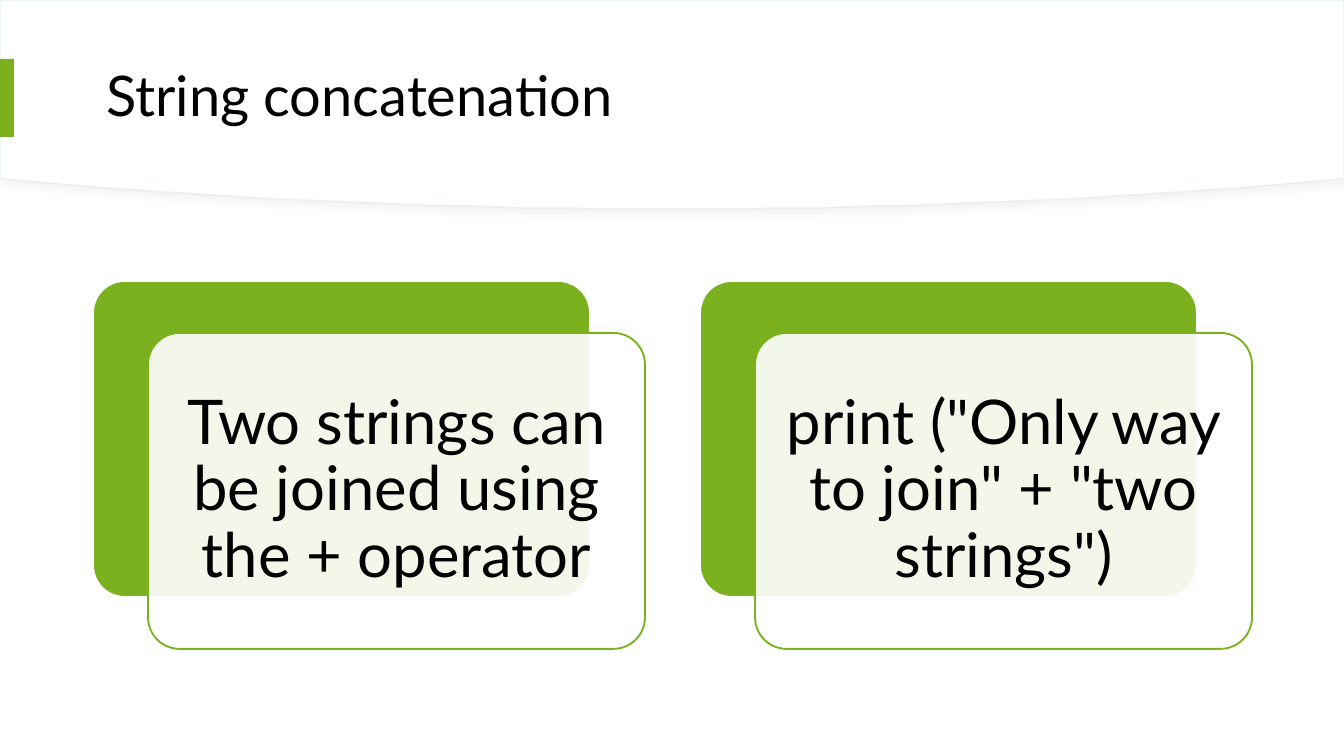
from lxml import etree
from pptx import Presentation
from pptx.dml.color import RGBColor
from pptx.enum.shapes import MSO_SHAPE
from pptx.enum.text import MSO_ANCHOR, PP_ALIGN
from pptx.oxml.ns import qn
from pptx.util import Emu, Pt

RECTANGLE = MSO_SHAPE.RECTANGLE
ROUNDED = MSO_SHAPE.ROUNDED_RECTANGLE
MIDDLE = MSO_ANCHOR.MIDDLE
LEFT, CENTER = PP_ALIGN.LEFT, PP_ALIGN.CENTER

SCALE = 914400 / 134.4
WIDTH, HEIGHT = 1344, 756
FONT = "Lato"
COLORS = {
    "white": "FFFFFF",
    "black": "000000",
    "green": "7BB11F",
    "edge": "E5F0E7",
    "shadow": "D9D9D9",
}
CARDS = [
    "Two strings can be joined using the + operator",
    'print ("Only way to join" + "two strings")',
]


def px(value):
    return Emu(round(value * SCALE))


def color(name):
    return RGBColor.from_string(COLORS[name])


def paint(shape, fill, line=None, width=1):
    shape.shadow.inherit = False
    shape.fill.solid()
    shape.fill.fore_color.rgb = color(fill)
    if line:
        shape.line.color.rgb = color(line)
        shape.line.width = Pt(width)
    else:
        shape.line.fill.background()


def add_box(slide, kind, box, fill, line=None):
    shape = slide.shapes.add_shape(kind, *map(px, box))
    paint(shape, fill, line)
    if kind == ROUNDED:
        shape.adjustments[0] = 0.1
    return shape


def write(shape, text, size, align, inset):
    frame = shape.text_frame
    frame.word_wrap = True
    frame.vertical_anchor = MIDDLE
    frame.margin_left = frame.margin_right = px(inset)
    frame.margin_top = frame.margin_bottom = px(inset)
    frame.text = text
    paragraph = frame.paragraphs[0]
    paragraph.alignment = align
    paragraph.line_spacing = 0.9
    font = paragraph.runs[0].font
    font.name, font.size = FONT, Pt(size)
    font.color.rgb = color("black")


def set_alpha(fill_parent, percent):
    rgb = fill_parent.find(".//" + qn("a:srgbClr"))
    etree.SubElement(rgb, qn("a:alpha")).set("val", str(percent * 1000))


def add_soft_shadow(shape):
    effects = shape._element.spPr.find(qn("a:effectLst"))
    shadow = etree.SubElement(effects, qn("a:outerShdw"), blurRad=str(Pt(4)),
                              dist=str(Pt(3)), dir=str(45 * 60000), algn="tl", rotWithShape="0")
    etree.SubElement(shadow, qn("a:srgbClr"), val=COLORS["shadow"])
    set_alpha(shadow, 30)


def bezier(points, t):
    weights = ((1 - t) ** 3, 3 * t * (1 - t) ** 2, 3 * t * t * (1 - t), t ** 3)
    return tuple(sum(w * p[axis] for w, p in zip(weights, points)) for axis in (0, 1))


def add_header_curve(slide, box):
    left, top, width, height = box
    middle = left + width / 2
    bottom = top + height
    controls = [(left + width - 93, bottom - 22), (left + width - 270, bottom - 8),
                (middle + 206, bottom), (middle, bottom)]
    right_half = [bezier(controls, step / 24) for step in range(25)]
    left_half = [(2 * middle - x, y) for x, y in reversed(right_half[:-1])]
    outline = [(left + width, top), (left + width, bottom - 30),
               *right_half, *left_half, (left, bottom - 30)]
    builder = slide.shapes.build_freeform(left, top, scale=SCALE)
    builder.add_line_segments(outline, close=True)
    curve = builder.convert_to_shape()
    paint(curve, "white", "edge", 0.75)
    add_soft_shadow(curve)


def add_title(slide, box, text):
    left, top, width, height = box
    add_box(slide, RECTANGLE, (0, top + 31, 14, 78), "green")
    title = slide.shapes.add_textbox(*map(px, box))
    write(title, text, 30, LEFT, 13)


def add_card(slide, box, text):
    left, top, width, height = box
    add_box(slide, ROUNDED, box, "green", "white")
    panel = add_box(slide, ROUNDED, (left + 55, top + 52, width, height), "white", "green")
    set_alpha(panel._element.spPr.find(qn("a:solidFill")), 90)
    write(panel, text, 33, CENTER, 19)


def build():
    presentation = Presentation()
    presentation.slide_width, presentation.slide_height = px(WIDTH), px(HEIGHT)
    slide = presentation.slides.add_slide(presentation.slide_layouts[6])
    add_header_curve(slide, (0, 0, WIDTH, 209))
    add_title(slide, (93, 28, 1158, 140), "String concatenation")
    for index, text in enumerate(CARDS):
        add_card(slide, (93 + 607 * index, 281, 497, 316), text)
    presentation.save("out.pptx")


build()
